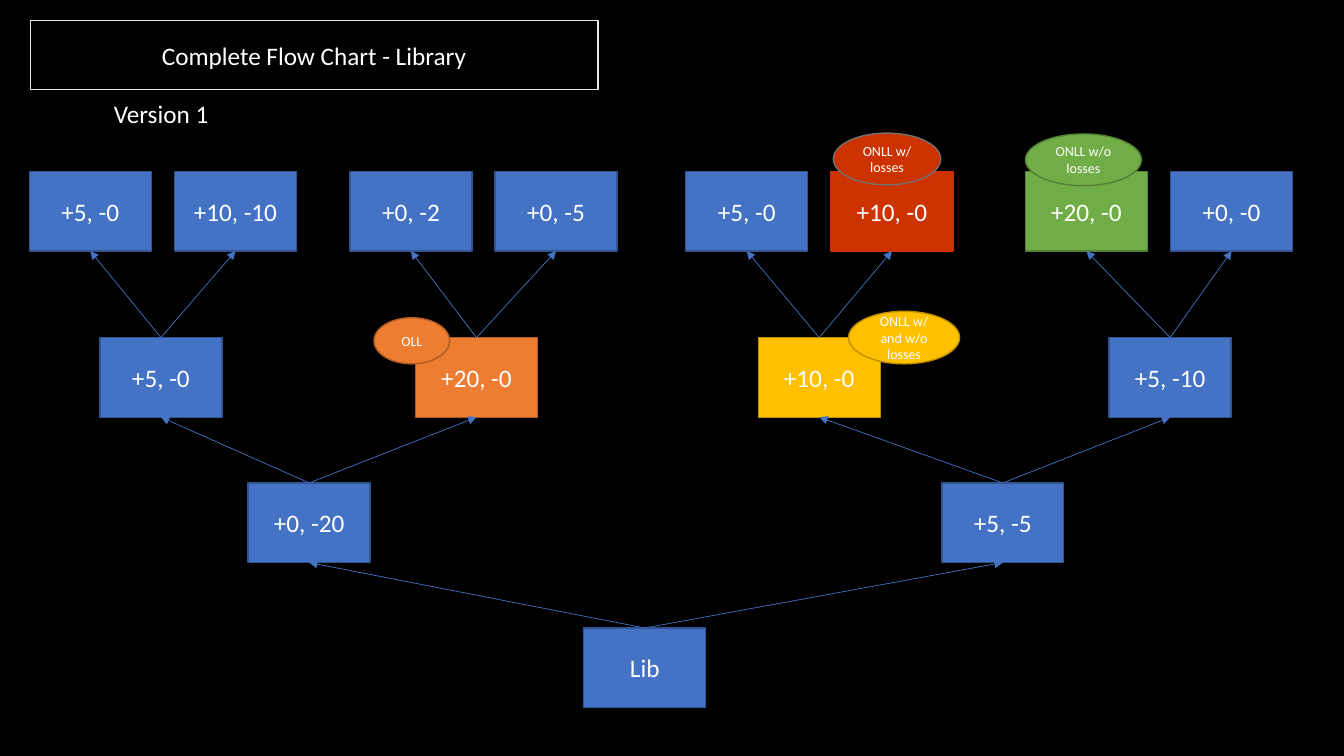
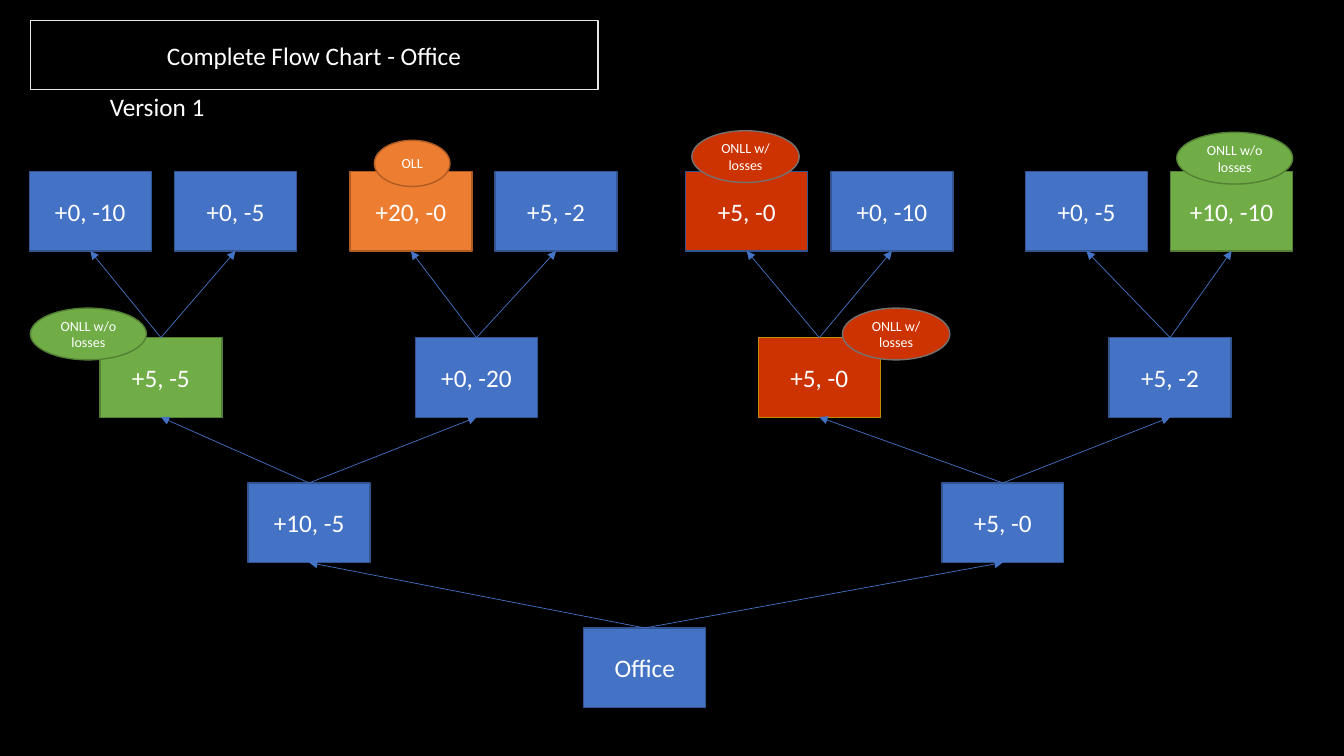
from pptx import Presentation, util as u
from pptx.dml.color import RGBColor
from pptx.enum import shapes, text
from pptx.oxml.ns import qn
from lxml import etree

BLACK = RGBColor(0x00, 0x00, 0x00)
WHITE = RGBColor(0xFF, 0xFF, 0xFF)
PALE = RGBColor(0xE7, 0xE6, 0xE6)
GREY = RGBColor(0x76, 0x71, 0x71)
BLUE = RGBColor(0x44, 0x72, 0xC4)
NAVY = RGBColor(0x32, 0x54, 0x91)
RED = RGBColor(0xCC, 0x33, 0x00)
GREEN = RGBColor(0x70, 0xAD, 0x47)
MOSS = RGBColor(0x53, 0x80, 0x35)
GOLD = RGBColor(0xFF, 0xC0, 0x00)
OCHRE = RGBColor(0xBD, 0x8E, 0x00)
AMBER = RGBColor(0xED, 0x7D, 0x31)
RUST = RGBColor(0xAF, 0x5C, 0x24)

FONT = "Calibri"
PAGE = (0, 0, u.Inches(13.33), u.Inches(7.5))
TITLE = (2.25, 2.67, 42.24, 9.2)
CHART = (2.18, 22.67, 94, 70.93)

NODE_W, NODE_H = 9.66, 14.85
PAIR = 11.49
TIERS = [
    (85.15, [43.89]),
    (58.1, [17.32, 72.23]),
    (31, [5.59, 30.57, 57.7, 85.47]),
    (0, [x + step for x in (0, 25.38, 51.96, 78.85) for step in (0, PAIR)]),
]
SPOTS = [(x, y) for y, row in TIERS for x in row]

TAGS = {
    "oll": ("OLL", AMBER, RUST, 62, 58),
    "loss": ("ONLL w/ losses", RED, GREY, 88, 65),
    "free": ("ONLL w/o losses", GREEN, MOSS, 95, 65),
    "both": ("ONLL w/ and w/o losses", GOLD, OCHRE, 91, 66),
}

CHARTS = [
    dict(
        title="Complete Flow Chart - Library",
        note=(7.73, 12.4),
        nodes=["Lib", "+0, -20", "+5, -5",
               "+5, -0", "+20, -0", "+10, -0", "+5, -10",
               "+5, -0", "+10, -10", "+0, -2", "+0, -5",
               "+5, -0", "+10, -0", "+20, -0", "+0, -0"],
        tags=[(5, "both", 74, -33, OCHRE), (4, "oll", -34, -25, RUST),
              (12, "loss", 2, -48, RED), (13, "free", 0, -47, MOSS)],
    ),
    dict(
        title="Complete Flow Chart - Office",
        note=(7.43, 11.47),
        nodes=["Office", "+10, -5", "+5, -0",
               "+5, -5", "+0, -20", "+5, -0", "+5, -2",
               "+0, -10", "+0, -5", "+20, -0", "+5, -2",
               "+5, -0", "+0, -10", "+0, -5", "+10, -10"],
        tags=[(9, "oll", 20, -39, RUST), (11, "loss", 5, -51, NAVY),
              (14, "free", 5, -49, MOSS), (5, "loss", 69, -37, OCHRE),
              (3, "free", -57, -37, MOSS)],
    ),
]


def part(box, x, y, w, h):
    """Return the region of a box given as percentages of its size."""
    left, top, wide, high = box
    return (round(left + wide * x / 100), round(top + high * y / 100),
            round(wide * w / 100), round(high * h / 100))


def write(shape, words, size=18, align=text.PP_ALIGN.CENTER):
    """Put one white line of text in a shape."""
    frame = shape.text_frame
    frame.text = words
    frame.word_wrap = True
    para = frame.paragraphs[0]
    para.alignment = align
    para.font.name = FONT
    para.font.size = u.Pt(size)
    para.font.color.rgb = WHITE


def block(slide, kind, box, words, fill, edge, size=18):
    """Draw a filled, outlined shape with text."""
    shape = slide.shapes.add_shape(kind, *box)
    shape.shadow.inherit = False
    shape.fill.solid()
    shape.fill.fore_color.rgb = fill
    shape.line.color.rgb = edge
    shape.line.width = u.Pt(1)
    write(shape, words, size)
    return shape


def arrow(slide, start, end):
    """Join the top of one node to the bottom of another."""
    line = slide.shapes.add_connector(shapes.MSO_CONNECTOR.STRAIGHT, 0, 0, 0, 0)
    line.begin_connect(start, 0)
    line.end_connect(end, 2)
    line.line.color.rgb = BLUE
    line.line.width = u.Pt(0.5)
    etree.SubElement(line.line._get_or_add_ln(), qn("a:tailEnd"), type="triangle")
    etree.SubElement(line._element.spPr, qn("a:effectLst"))


def head(slide, box, title, note):
    """Format the title and add the version label."""
    shape = slide.shapes.title
    shape.left, shape.top, shape.width, shape.height = part(box, *TITLE)
    shape.line.color.rgb = PALE
    shape.line.width = u.Pt(1)
    write(shape, title)
    shape.text_frame.auto_size = text.MSO_AUTO_SIZE.NONE
    shape.text_frame.vertical_anchor = text.MSO_ANCHOR.MIDDLE
    label = slide.shapes.add_textbox(*part(box, *note, 10.43, 5.33))
    write(label, "Version 1", align=text.PP_ALIGN.LEFT)


def tree(slide, box, nodes, tags):
    """Draw a binary tree that grows upward, with tags on its nodes."""
    tints = {k: (TAGS[kind][1], edge) for k, kind, _, _, edge in tags}
    cells = [part(box, x, y, NODE_W, NODE_H) for x, y in SPOTS]
    made = [block(slide, shapes.MSO_SHAPE.RECTANGLE, cell, words,
                  *tints.get(k, (BLUE, NAVY)))
            for k, (cell, words) in enumerate(zip(cells, nodes))]
    for k in range(1, len(made)):
        arrow(slide, made[(k - 1) // 2], made[k])
    for k, kind, x, y, _ in tags:
        words, fill, edge, w, h = TAGS[kind]
        block(slide, shapes.MSO_SHAPE.OVAL, part(cells[k], x, y, w, h),
              words, fill, edge, 10)


def main():
    """Build and save the deck."""
    deck = Presentation()
    deck.slide_width, deck.slide_height = PAGE[2:]
    back = deck.slide_master.background.fill
    back.solid()
    back.fore_color.rgb = BLACK
    for chart in CHARTS:
        slide = deck.slides.add_slide(deck.slide_layouts[5])
        head(slide, PAGE, chart["title"], chart["note"])
        tree(slide, part(PAGE, *CHART), chart["nodes"], chart["tags"])
    deck.save("out.pptx")


if __name__ == "__main__":
    main()
